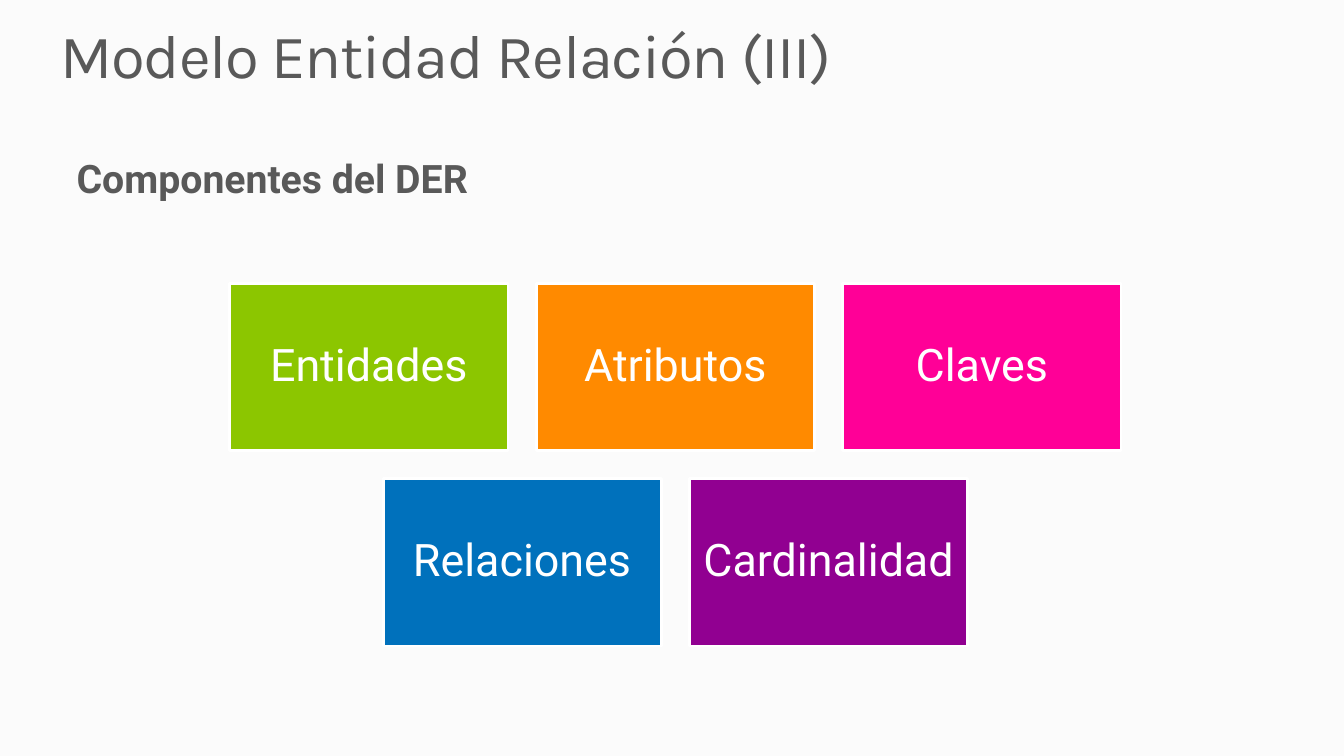
from dataclasses import dataclass

from pptx import Presentation
from pptx.dml.color import RGBColor
from pptx.enum.shapes import MSO_SHAPE
from pptx.enum.text import MSO_ANCHOR, PP_ALIGN
from pptx.util import Inches, Pt

RECT = MSO_SHAPE.RECTANGLE
TOP, MIDDLE = MSO_ANCHOR.TOP, MSO_ANCHOR.MIDDLE
LEFT, CENTER = PP_ALIGN.LEFT, PP_ALIGN.CENTER

WIDE, HIGH = 13.33, 7.5
COLORS = {
    "back": "FBFBFB", "text": "595959", "white": "FFFFFF",
    "green": "8CC600", "orange": "FF8A00", "pink": "FF0097",
    "blue": "0071BC", "purple": "910091",
}

# Card grid: the second row is shifted by half a column
GRID_X, GRID_Y = 2.28, 2.81
CARD_W, CARD_H, GAP = 2.76, 1.66, 0.28


@dataclass
class Card:
    name: str
    color: str
    col: float
    row: int


CARDS = [
    Card("Entidades", "green", 0, 0),
    Card("Atributos", "orange", 1, 0),
    Card("Claves", "pink", 2, 0),
    Card("Relaciones", "blue", 0.5, 1),
    Card("Cardinalidad", "purple", 1.5, 1),
]


def tint(name: str) -> RGBColor:
    return RGBColor.from_string(COLORS[name])


def write(shape, text: str, *, size: float, font: str = "Roboto",
          color: str = "text", bold: bool = False, align=LEFT, anchor=TOP,
          inset: float = 0, before: float = 0, track: float = 0) -> None:
    frame = shape.text_frame
    frame.word_wrap = True
    frame.vertical_anchor = anchor
    frame.margin_left = frame.margin_right = Inches(inset)
    frame.margin_top = frame.margin_bottom = Inches(inset)
    para = frame.paragraphs[0]
    para.alignment = align
    para.line_spacing = 0.9
    para.space_before = Pt(before)
    run = para.add_run()
    run.text = text
    run.font.name, run.font.size, run.font.bold = font, Pt(size), bold
    run.font.color.rgb = tint(color)
    if track:
        run._r.get_or_add_rPr().set("spc", str(round(track * 100)))


def draw(slide, card: Card) -> None:
    left = GRID_X + card.col * (CARD_W + GAP)
    top = GRID_Y + card.row * (CARD_H + GAP)
    box = slide.shapes.add_shape(
        RECT, Inches(left), Inches(top), Inches(CARD_W), Inches(CARD_H))
    box.shadow.inherit = False
    box.fill.solid()
    box.fill.fore_color.rgb = tint(card.color)
    box.line.color.rgb = tint("white")
    box.line.width = Pt(2)
    write(box, card.name, size=32, color="white", align=CENTER,
          anchor=MIDDLE, inset=0.13)


def main() -> None:
    deck = Presentation()
    deck.slide_width, deck.slide_height = Inches(WIDE), Inches(HIGH)
    slide = deck.slides.add_slide(deck.slide_layouts[6])
    slide.background.fill.solid()
    slide.background.fill.fore_color.rgb = tint("back")

    # Title and subtitle
    title = slide.shapes.add_textbox(
        Inches(0.6), Inches(0.25), Inches(12.2), Inches(0.67))
    write(title, "Modelo Entidad Relación (III)", size=44, font="Karla",
          track=-0.9)
    head = slide.shapes.add_textbox(
        Inches(0.76), Inches(1.58), Inches(5.98), Inches(4.57))
    write(head, "Componentes del DER", size=28, bold=True, before=5.6)

    # Component cards
    for card in CARDS:
        draw(slide, card)

    deck.save("out.pptx")


if __name__ == "__main__":
    main()
